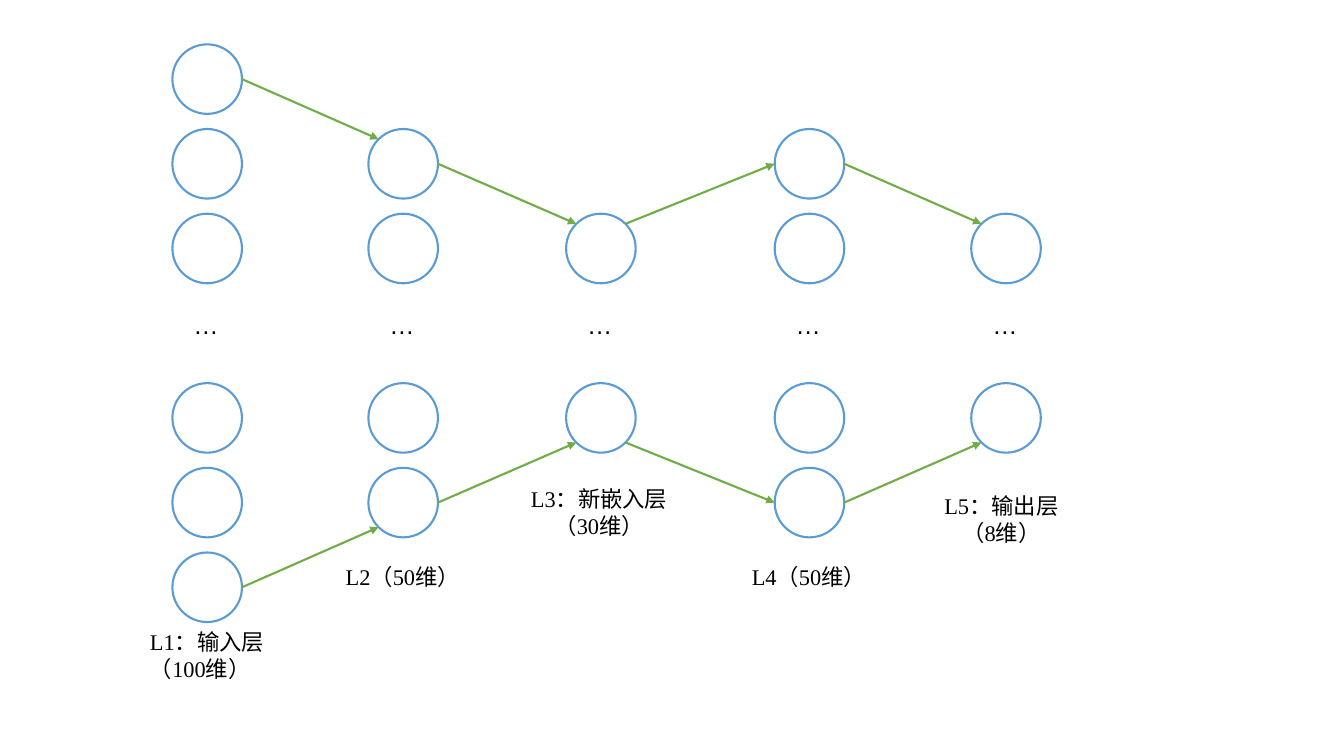
"""Draw a five-layer autoencoder network with its layer labels."""
import math

import pptx
import pptx.dml.color
import pptx.enum.shapes
import pptx.enum.text
import pptx.oxml
import pptx.oxml.ns
import pptx.util

Pt = pptx.util.Pt
RGBColor = pptx.dml.color.RGBColor
ALIGN = pptx.enum.text.PP_ALIGN

LEFT, CENTER = ALIGN.LEFT, ALIGN.CENTER
# layer: centre x, first row, label lines, label (left, top, width, height), alignment
LAYERS = [
    (148, 0, ["L1：输入层", "（100维）"], (100, 445, 97.2, 46), LEFT),
    (288, 1, ["L2（50维）"], (239.8, 398.9, 97.2, 26.6), LEFT),
    (429.2, 2, ["L3：新嵌入层", "（30维）"], (371.5, 342.7, 113, 46), CENTER),
    (578.2, 1, ["L4（50维）"], (529.9, 398.9, 97.2, 26.6), LEFT),
    (718.6, 2, ["L5：输出层", "（8维）"], (666.7, 347.8, 97.2, 46), CENTER),
]
ELLIPSIS = "…"
ELLIPSIS_ROW, LAST_ROW = 3, 6

WHITE = RGBColor(0xFF, 0xFF, 0xFF)
BLACK = RGBColor(0, 0, 0)
BLUE = RGBColor(0x5B, 0x9B, 0xD5)
GREEN = RGBColor(0x70, 0xAD, 0x47)

DIAMETER = 49.7
RADIUS = DIAMETER / 2
FIRST_CENTER, ROW_PITCH = 56.5, 60.5
DIAGONAL = RADIUS * math.cos(math.pi / 4)
ELLIPSIS_WIDTH, ELLIPSIS_TOP, ELLIPSIS_HEIGHT = 32.4, 217.4, 29


def row_center(row):
    return FIRST_CENTER + row * ROW_PITCH


def add_neuron(slide, x, row):
    neuron = slide.shapes.add_shape(
        pptx.enum.shapes.MSO_SHAPE.OVAL,
        Pt(x - RADIUS), Pt(row_center(row) - RADIUS), Pt(DIAMETER), Pt(DIAMETER))
    neuron.shadow.inherit = False
    neuron.fill.solid()
    neuron.fill.fore_color.rgb = WHITE
    neuron.line.color.rgb = BLUE
    neuron.line.width = Pt(1.5)


def add_text(slide, lines, box, font_name, size, wrap, alignment):
    frame = slide.shapes.add_textbox(*map(Pt, box)).text_frame
    frame.word_wrap = wrap
    frame.text = "\n".join(lines)
    for paragraph in frame.paragraphs:
        paragraph.alignment = alignment
        paragraph.font.name = font_name
        paragraph.font.size = Pt(size)
        paragraph.font.color.rgb = BLACK


def add_arrow(slide, start, end):
    arrow = slide.shapes.add_connector(
        pptx.enum.shapes.MSO_CONNECTOR.STRAIGHT, *map(Pt, start + end))
    arrow.line.color.rgb = GREEN
    arrow.line.width = Pt(1.5)
    head = pptx.oxml.parse_xml(
        f'<a:tailEnd {pptx.oxml.ns.nsdecls("a")} type="triangle"/>')
    arrow.line._get_or_add_ln().append(head)
    arrow._element.spPr.append(
        pptx.oxml.parse_xml(f'<a:effectLst {pptx.oxml.ns.nsdecls("a")}/>'))


def link_layers(slide, source, target):
    """Join the outermost neurons: side of the wider layer, corner of the narrower."""
    (source_x, source_row), (target_x, target_row) = source[:2], target[:2]
    narrowing = target_row > source_row
    for side in (-1, 1):
        source_y, target_y = (
            row_center(row if side < 0 else LAST_ROW - row)
            for row in (source_row, target_row))
        if narrowing:
            start = (source_x + RADIUS, source_y)
            end = (target_x - DIAGONAL, target_y + side * DIAGONAL)
        else:
            start = (source_x + DIAGONAL, source_y + side * DIAGONAL)
            end = (target_x - RADIUS, target_y)
        add_arrow(slide, start, end)


def main():
    deck = pptx.Presentation()
    deck.slide_width, deck.slide_height = Pt(960), Pt(540)
    slide = deck.slides.add_slide(deck.slide_layouts[6])
    for x, first_row, label, label_box, alignment in LAYERS:
        for row in range(first_row, LAST_ROW - first_row + 1):
            if row != ELLIPSIS_ROW:
                add_neuron(slide, x, row)
        ellipsis_box = (x - ELLIPSIS_WIDTH / 2 - 0.7, ELLIPSIS_TOP,
                        ELLIPSIS_WIDTH, ELLIPSIS_HEIGHT)
        add_text(slide, [ELLIPSIS], ellipsis_box, "Arial", 18, False, LEFT)
        add_text(slide, label, label_box, "Times New Roman", 16, True, alignment)
    for source, target in zip(LAYERS, LAYERS[1:]):
        link_layers(slide, source, target)
    deck.save("out.pptx")


if __name__ == "__main__":
    main()
